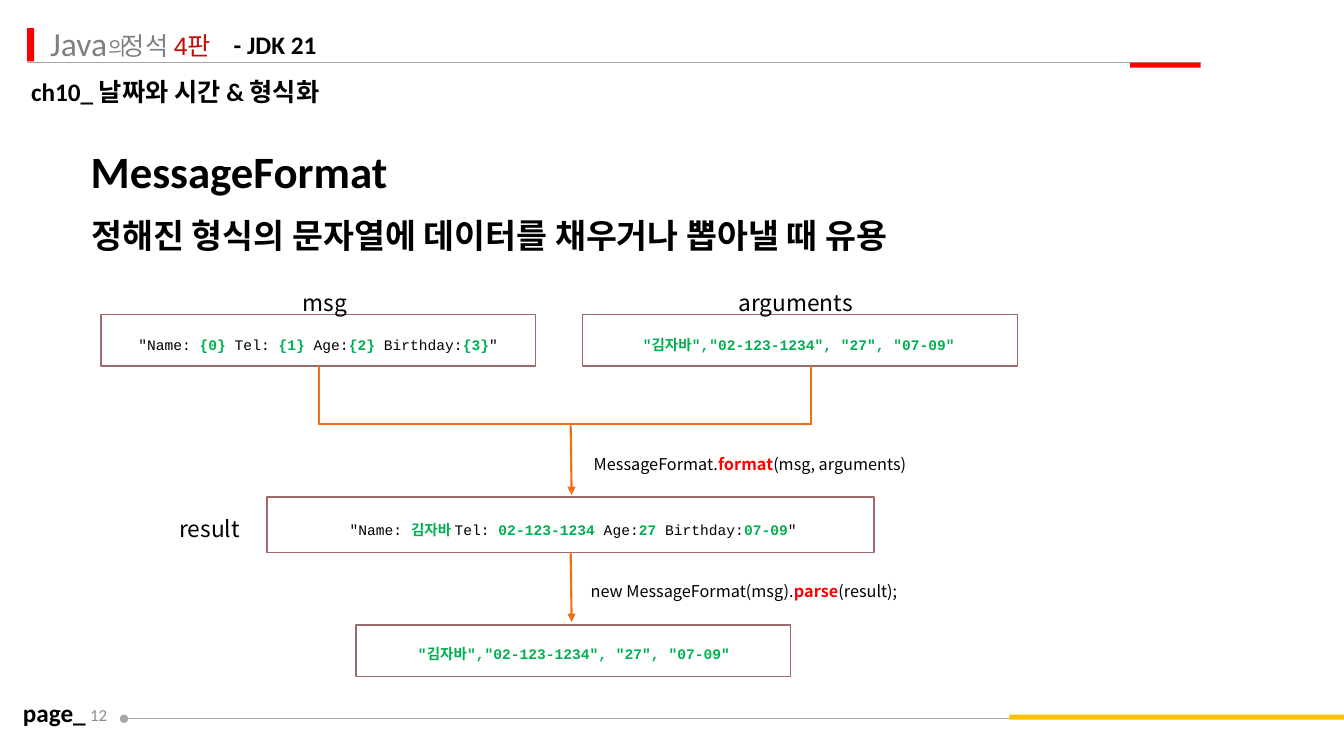
from lxml import etree
from pptx import Presentation
from pptx.dml.color import RGBColor
from pptx.enum import shapes, text
from pptx.oxml import ns
from pptx.util import Inches, Pt

C = {"black": "000000", "white": "FFFFFF", "gray": "808080", "page": "8C8C8C",
     "rule": "A6A6A6", "red": "FF0000", "edition": "C70A07", "gold": "FFC000",
     "green": "00B050", "box": "9C6A6A", "flow": "EC7016"}
KOREAN = "Noto Sans CJK KR"
ALIGN = {"l": text.PP_ALIGN.LEFT, "c": text.PP_ALIGN.CENTER, "r": text.PP_ALIGN.RIGHT}

prs = Presentation()
prs.slide_width, prs.slide_height = Inches(13.33), Inches(7.5)
s = prs.slides.add_slide(prs.slide_layouts[6])


def add_text(parts, x, y, w, h, size=18, font="Calibri", color="black", bold=False,
             accent="green", accent_bold=True, align="l", middle=False, raised=False):
    """Every second entry of parts takes the accent format."""
    tf = s.shapes.add_textbox(Inches(x), Inches(y), Inches(w), Inches(h)).text_frame
    tf.word_wrap = True
    tf.auto_size = text.MSO_AUTO_SIZE.SHAPE_TO_FIT_TEXT
    tf.vertical_anchor = text.MSO_ANCHOR.MIDDLE if middle else text.MSO_ANCHOR.TOP
    p = tf.paragraphs[0]
    p.alignment = ALIGN[align]
    for i, part in enumerate(parts):
        r = p.add_run()
        r.text = part
        r.font.size, r.font.name = Pt(size), font
        r.font.bold = accent_bold if i % 2 else bold
        r.font.color.rgb = RGBColor.from_string(C[accent if i % 2 else color])
        rPr = r._r.get_or_add_rPr()
        etree.SubElement(rPr, ns.qn("a:ea"), typeface=KOREAN)
        if raised:
            rPr.set("baseline", "30000")


def add_line(x1, y1, x2, y2, color="flow", width=1.5, head=None, tail=None):
    line = s.shapes.add_connector(shapes.MSO_CONNECTOR.STRAIGHT,
                                  Inches(x1), Inches(y1), Inches(x2), Inches(y2))
    line.line.color.rgb = RGBColor.from_string(C[color])
    line.line.width = Pt(width)
    ln = line.line._get_or_add_ln()
    for tag, kind in (("a:headEnd", head), ("a:tailEnd", tail)):
        if kind:
            etree.SubElement(ln, ns.qn(tag), type=kind)
    etree.SubElement(line._element.spPr, ns.qn("a:effectLst"))


# Header and footer rules
add_line(0.27, 0.62, 11.91, 0.62, "rule", 0.5)
add_line(1.23, 7.13, 13.33, 7.13, "rule", 0.5, head="oval")

# Colour bars and code boxes: left, top, width, height, fill, outline
for x, y, w, h, fill, outline in [
        (0.27, 0.28, 0.07, 0.33, "red", None),
        (11.21, 0.62, 0.7, 0.05, "red", None),
        (10.01, 7.09, 3.32, 0.05, "gold", None),
        (1, 3.12, 4.31, 0.51, "white", "box"),
        (5.78, 3.12, 4.31, 0.51, "white", "box"),
        (2.65, 4.93, 6.02, 0.55, "white", "box"),
        (3.53, 6.2, 4.31, 0.51, "white", "box")]:
    sp = s.shapes.add_shape(shapes.MSO_SHAPE.RECTANGLE,
                            Inches(x), Inches(y), Inches(w), Inches(h))
    sp.shadow.inherit = False
    sp.fill.solid()
    sp.fill.fore_color.rgb = RGBColor.from_string(C[fill])
    if outline:
        sp.line.color.rgb = RGBColor.from_string(C[outline])
        sp.line.width = Pt(1)
    else:
        sp.line.fill.background()

# Header, footer and titles
add_text(["정석 ", "4판"], 1.11, 0.25, 1.82, 0.4, font="Arial", color="gray",
         accent="edition", accent_bold=False)
add_text(["- JDK 21"], 2.22, 0.24, 1.3, 0.4, bold=True)
add_text(["Java"], 0.4, 0.18, 0.9, 0.5, size=24, color="gray")
add_text(["의"], 0.98, 0.31, 0.42, 0.34, size=14, font="Arial", color="gray")
add_text(["ch10_ 날짜와 시간 & 형식화"], 0.21, 0.71, 5.29, 0.4, bold=True)
add_text(["12"], 0.71, 6.89, 0.45, 0.4, size=12, color="page", align="r", middle=True)
add_text(["page_"], 0.13, 6.87, 0.83, 0.4, bold=True)
add_text(["MessageFormat"], 0.8, 1.38, 11.48, 0.64, size=32, bold=True)
add_text(["정해진 형식의 문자열에 데이터를 채우거나 뽑아낼 때 유용"],
         0.81, 2.08, 11.8, 0.5, size=24, bold=True)

# Code in the boxes
arguments = '"김자바","02-123-1234", "27", "07-09"'
for parts, x, y, w in [
        (['"Name: ', "{0}", " Tel: ", "{1}", " Age:", "{2}", " Birthday:", "{3}", '"'],
         0.94, 3.3, 4.43),
        (["", arguments], 5.71, 3.3, 4.43),
        (['"Name: ', "김자바", " Tel: ", "02-123-1234", " Age:", "27", " Birthday:",
          "07-09", '"'], 2.53, 5.14, 6.31),
        (["", arguments], 3.48, 6.37, 4.43)]:
    add_text(parts, x, y, w, 0.3, font="Courier New", align="c", middle=True, raised=True)

# Names of the boxes
for name, x, y, w in [("msg", 2.76, 2.84, 0.92), ("arguments", 6.61, 2.84, 2.56),
                      ("result", 1.25, 5.08, 1.66)]:
    add_text([name], x, y, w, 0.42, size=28, font=KOREAN, align="c", middle=True, raised=True)

# Flow lines
for x in (3.16, 8.04):
    add_line(x, 3.63, x, 4.21)
add_line(8.05, 4.21, 3.15, 4.21)
for top in (4.22, 5.48):
    add_line(5.66, top, 5.67, top + 0.69, tail="triangle")

# Method calls beside the arrows
for parts, x, y in [(["MessageFormat.", "format", "(msg, arguments)"], 5.79, 4.48),
                    (["new MessageFormat(msg).", "parse", "(result);"], 5.76, 5.74)]:
    add_text(parts, x, y, 4.39, 0.32, size=20, font=KOREAN, accent="red",
             middle=True, raised=True)

prs.save("out.pptx")
